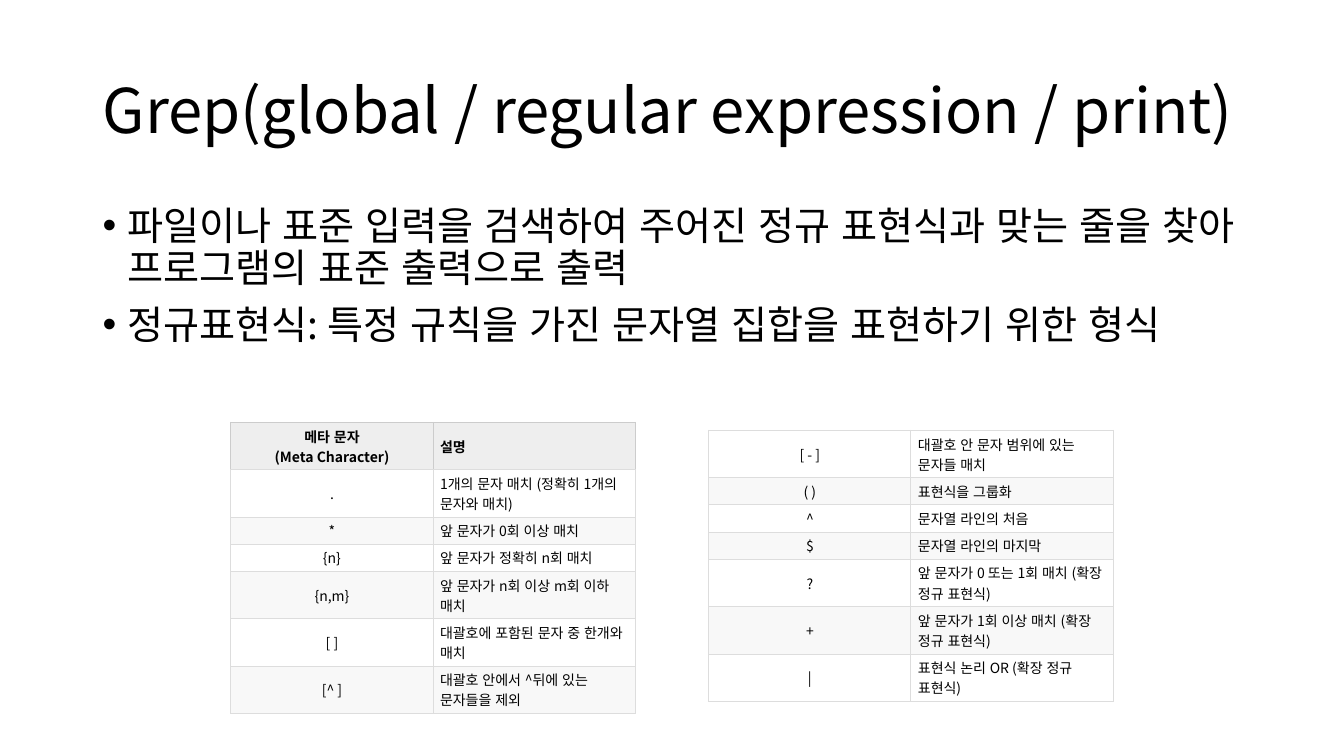
"""Build a slide that introduces grep and lists its regular expression metacharacters."""
from copy import deepcopy

from lxml.etree import SubElement
from pptx import Presentation
from pptx.dml.color import RGBColor
from pptx.enum.lang import MSO_LANGUAGE_ID as Language
from pptx.enum.text import MSO_ANCHOR as Anchor, PP_ALIGN as Align
from pptx.oxml.ns import qn
from pptx.util import Inches, Pt

FONT = "Noto Sans CJK KR"
BLACK = RGBColor(0x00, 0x00, 0x00)
WHITE = RGBColor(0xFF, 0xFF, 0xFF)
BAND = RGBColor(0xF8, 0xF8, 0xF8)
HEADER = RGBColor(0xEE, 0xEE, 0xEE)
BORDER = RGBColor(0xDD, 0xDD, 0xDD)
HEADER_BORDER = RGBColor(0xCC, 0xCC, 0xCC)

TITLE = "Grep(global / regular expression / print)"
POINTS = [
    "파일이나 표준 입력을 검색하여 주어진 정규 표현식과 맞는 줄을 찾아 프로그램의 표준 출력으로 출력",
    "정규표현식: 특정 규칙을 가진 문자열 집합을 표현하기 위한 형식",
]
TALL, SHORT = 0.47, 0.27
BASIC_ROWS = [
    ("메타 문자\v(Meta Character)", "설명", TALL),
    (".", "1개의 문자 매치 (정확히 1개의 문자와 매치)", TALL),
    ("*", "앞 문자가 0회 이상 매치", SHORT),
    ("{n}", "앞 문자가 정확히 n회 매치", SHORT),
    ("{n,m}", "앞 문자가 n회 이상 m회 이하 매치", TALL),
    ("[ ]", "대괄호에 포함된 문자 중 한개와 매치", TALL),
    ("[^ ]", "대괄호 안에서 ^뒤에 있는 문자들을 제외", TALL),
]
MORE_ROWS = [
    ("[ - ]", "대괄호 안 문자 범위에 있는 문자들 매치", TALL),
    ("( )", "표현식을 그룹화", SHORT),
    ("^", "문자열 라인의 처음", SHORT),
    ("$", "문자열 라인의 마지막", SHORT),
    ("?", "앞 문자가 0 또는 1회 매치 (확장 정규 표현식)", TALL),
    ("+", "앞 문자가 1회 이상 매치 (확장 정규 표현식)", TALL),
    ("|", "표현식 논리 OR (확장 정규 표현식)", TALL),
]
TABLES = [(2.29, 4.19, BASIC_ROWS, True), (7.03, 4.27, MORE_ROWS, False)]
TABLE_WIDTH = 4.01
CELL_FORMAT = {
    "vertical_anchor": Anchor.MIDDLE,
    "margin_left": Inches(0.07),
    "margin_right": Inches(0.07),
    "margin_top": Inches(0.03),
    "margin_bottom": Inches(0.03),
}


def write(para, text, size, bold=False):
    para.text = text
    font_format = {"name": FONT, "size": Pt(size), "bold": bold, "language_id": Language.KOREAN}
    for span in para.runs:
        for name, value in font_format.items():
            setattr(span.font, name, value)
        span.font.color.rgb = BLACK
    for line_break in para._p.findall(qn("a:br")):
        line_break.append(deepcopy(para.runs[0].font._element))


def set_borders(cell, color, bottom_color):
    properties = cell._tc.get_or_add_tcPr()
    sides = {"lnL": color, "lnR": color, "lnT": color, "lnB": bottom_color}
    for index, (side, side_color) in enumerate(sides.items()):
        line = SubElement(properties, qn(f"a:{side}"), w=str(Pt(0.75)))
        fill = SubElement(line, qn("a:solidFill"))
        SubElement(fill, qn("a:srgbClr"), val=str(side_color))
        properties.insert(index, line)


deck = Presentation()
deck.slide_width, deck.slide_height = Inches(13.33), Inches(7.5)
page = deck.slides.add_slide(deck.slide_layouts[6])

title_box = page.shapes.add_textbox(Inches(0.92), Inches(0.4), Inches(11.5), Inches(1.45))
title_box.text_frame.word_wrap = True
title_box.text_frame.vertical_anchor = Anchor.MIDDLE
title_para = title_box.text_frame.paragraphs[0]
title_para.line_spacing = 0.9
write(title_para, TITLE, 44)

body_box = page.shapes.add_textbox(Inches(0.92), Inches(2), Inches(11.5), Inches(4.76))
body = body_box.text_frame
body.word_wrap = True
for index, point in enumerate(POINTS):
    para = body.add_paragraph() if index else body.paragraphs[0]
    para.line_spacing = 0.9
    para.space_before = Pt(10)
    write(para, point, 28)
    layout = para._p.get_or_add_pPr()
    layout.set("marL", str(Inches(0.25)))
    layout.set("indent", str(Inches(-0.25)))
    SubElement(layout, qn("a:buFont"), typeface="Arial")
    SubElement(layout, qn("a:buChar"), char="•")

for left, top, rows, has_header in TABLES:
    height = sum(row[2] for row in rows)
    frame = page.shapes.add_table(len(rows), 2, Inches(left), Inches(top),
                                  Inches(TABLE_WIDTH), Inches(height))
    table = frame.table
    table.first_row = has_header
    table.horz_banding = False
    for row_index, (symbol, meaning, row_height) in enumerate(rows):
        table.rows[row_index].height = Inches(row_height)
        is_header = has_header and row_index == 0
        for column_index, text in enumerate((symbol, meaning)):
            cell = table.cell(row_index, column_index)
            for name, value in CELL_FORMAT.items():
                setattr(cell, name, value)
            cell.fill.solid()
            band_color = BAND if (row_index - has_header) % 2 else WHITE
            cell.fill.fore_color.rgb = HEADER if is_header else band_color
            set_borders(cell, HEADER_BORDER if is_header else BORDER, BORDER)
            para = cell.text_frame.paragraphs[0]
            para.alignment = Align.LEFT if column_index else Align.CENTER
            write(para, text, 10, is_header)

deck.save("out.pptx")
